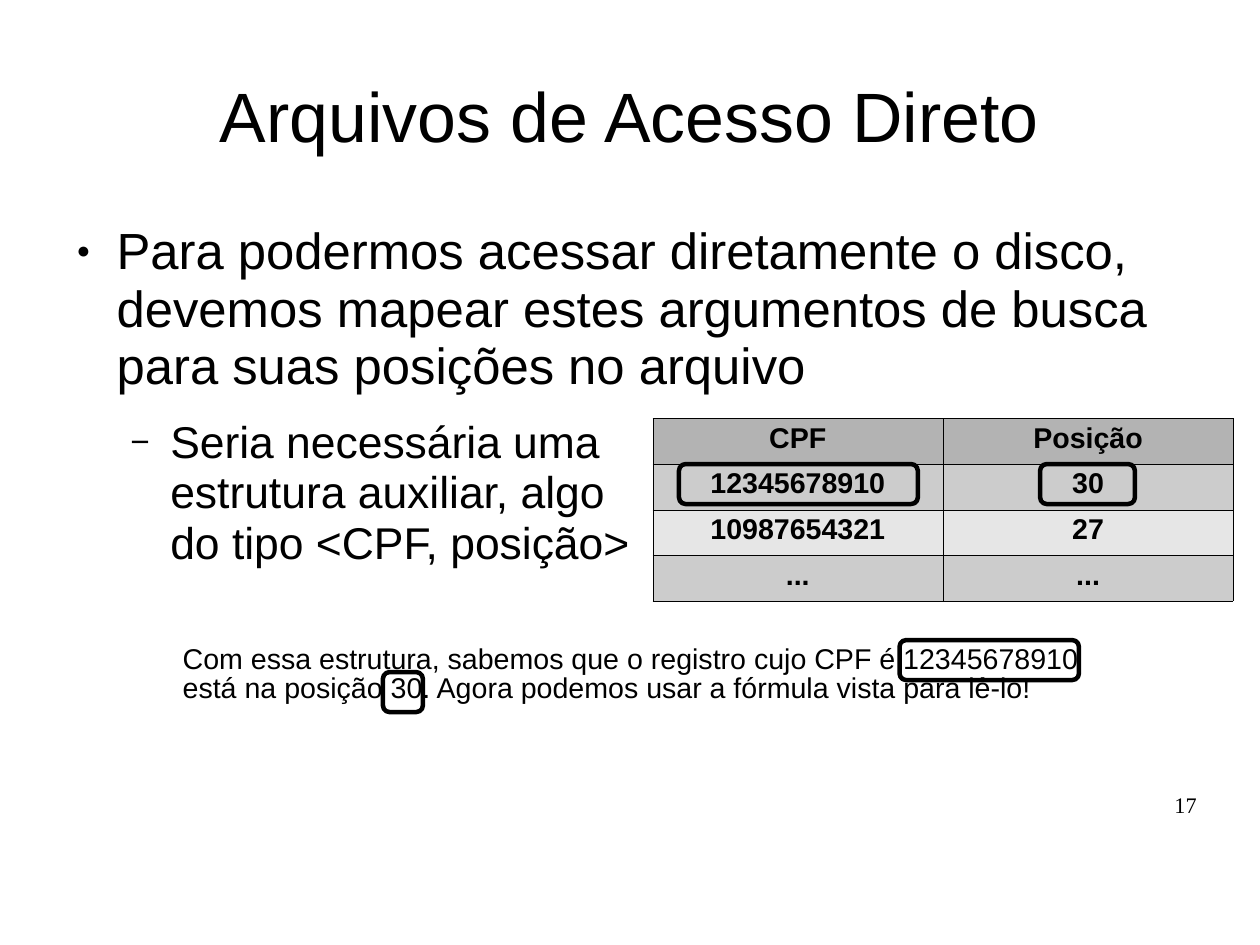
"""Builds the slide on direct access files, with a CPF to position table."""
from lxml.etree import SubElement
from pptx import Presentation
from pptx.dml.color import RGBColor
from pptx.enum.shapes import MSO_SHAPE
from pptx.enum.text import MSO_ANCHOR, MSO_AUTO_SIZE, PP_ALIGN
from pptx.oxml.ns import qn
from pptx.util import Inches, Pt

COLORS = {"ink": "000000", "header": "B3B3B3", "dark": "CCCCCC", "light": "E6E6E6"}


def format_frame(tf, margins, **formats):
    sides = ("margin_left", "margin_top", "margin_right", "margin_bottom")
    for side, margin in zip(sides, margins):
        setattr(tf, side, Inches(margin))
    settings = {"word_wrap": True, "auto_size": MSO_AUTO_SIZE.NONE, **formats}
    for name, value in settings.items():
        setattr(tf, name, value)


def write(p, text, size, font="Arial", bold=False, **formats):
    p.text = text
    settings = {"line_spacing": 0.94, "space_before": Pt(0), **formats}
    for name, value in settings.items():
        setattr(p, name, value)
    for r in p.runs:
        for name, value in {"size": Pt(size), "name": font, "bold": bold}.items():
            setattr(r.font, name, value)
        r.font.color.rgb = RGBColor.from_string(COLORS["ink"])


prs = Presentation()
prs.slide_width = Inches(28 / 2.54)
prs.slide_height = Inches(21 / 2.54)
s = prs.slides.add_slide(prs.slide_layouts[1])

title, body = s.placeholders
for sp, top, height in ((title, 0.33, 1.38), (body, 1.93, 4.8)):
    sp.left, sp.top = Inches(0.55), Inches(top)
    sp.width, sp.height = Inches(9.92), Inches(height)

format_frame(title.text_frame, (0, 0.04, 0, 0), vertical_anchor=MSO_ANCHOR.MIDDLE)
write(title.text_frame.paragraphs[0], "Arquivos de Acesso Direto", 44, alignment=PP_ALIGN.CENTER)

tf = body.text_frame
format_frame(tf, (0, 0.03, 0, 0), vertical_anchor=MSO_ANCHOR.TOP)
items = [
    ("Para podermos acessar diretamente o disco, devemos mapear estes argumentos "
     "de busca para suas posições no arquivo", 32, 14.3, "●", 45),
    ("Seria necessária uma \nestrutura auxiliar, algo \ndo tipo <CPF, posição>", 28, 11.4, "−", 75),
]
for level, (text, size, after, bullet, percent) in enumerate(items):
    p = tf.add_paragraph() if level else tf.paragraphs[0]
    write(p, text, size, level=level, space_after=Pt(after))
    pPr = p._p.get_or_add_pPr()
    pPr.set("marL", str(Inches(0.47 * (level + 1))))
    pPr.set("indent", str(Inches(-0.35)))
    color = SubElement(pPr, qn("a:buClr"))
    SubElement(color, qn("a:srgbClr"), val=COLORS["ink"])
    SubElement(pPr, qn("a:buSzPct"), val=str(percent * 1000))
    SubElement(pPr, qn("a:buFont"), typeface="Arial")
    SubElement(pPr, qn("a:buChar"), char=bullet)

rows = [
    ("header", "CPF", "Posição"),
    ("dark", "12345678910", "30"),
    ("light", "10987654321", "27"),
    ("dark", "...", "..."),
]
table = s.shapes.add_table(
    len(rows), 2, Inches(5.71), Inches(3.66), Inches(5.08), Inches(1.6)).table
table.first_row = table.horz_banding = False
for i, (fill, *values) in enumerate(rows):
    for j, value in enumerate(values):
        cell = table.cell(i, j)
        write(cell.text_frame.paragraphs[0], value, 18, bold=True, alignment=PP_ALIGN.CENTER)
        tcPr = cell._tc.get_or_add_tcPr()
        for edge in ("lnL", "lnR", "lnT", "lnB"):
            line = SubElement(tcPr, qn(f"a:{edge}"), w=str(Pt(0.06)))
            SubElement(SubElement(line, qn("a:solidFill")), qn("a:srgbClr"), val=COLORS["ink"])
        cell.fill.solid()
        cell.fill.fore_color.rgb = RGBColor.from_string(COLORS[fill])

note = s.shapes.add_textbox(Inches(1.5), Inches(5.6), Inches(8.43), Inches(0.66))
format_frame(note.text_frame, (0.1, 0.06, 0.1, 0.05))
write(note.text_frame.paragraphs[0],
      "Com essa estrutura, sabemos que o registro cujo CPF é 12345678910 está na "
      "posição 30. Agora podemos usar a fórmula vista para lê-lo!", 18, line_spacing=0.84)

number = s.shapes.add_textbox(Inches(7.9), Inches(6.94), Inches(2.57), Inches(0.57))
format_frame(number.text_frame, (0, 0, 0, 0))
write(number.text_frame.paragraphs[0], "17", 14, "Times New Roman",
      alignment=PP_ALIGN.RIGHT, line_spacing=0.93)

highlights = [(5.94, 4.06, 2.09), (7.87, 5.6, 1.57), (9.1, 4.06, 0.83), (3.35, 5.88, 0.35)]
for left, top, width in highlights:
    sp = s.shapes.add_shape(
        MSO_SHAPE.ROUNDED_RECTANGLE, Inches(left), Inches(top), Inches(width), Inches(0.35))
    sp.shadow.inherit = False
    sp.fill.background()
    sp.line.color.rgb = RGBColor.from_string(COLORS["ink"])
    sp.line.width = Pt(2.83)

prs.save("out.pptx")
